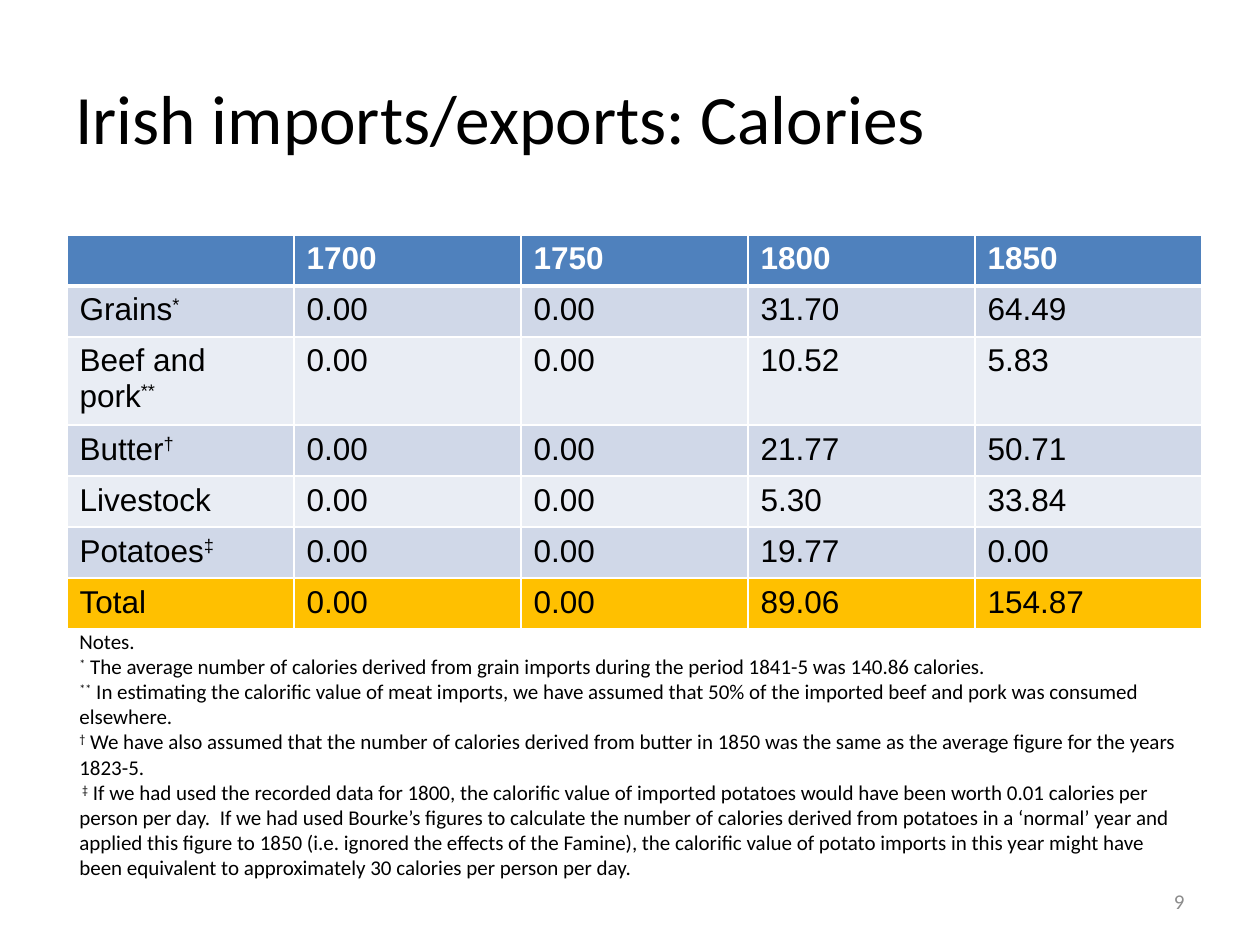
from lxml import etree
from pptx import Presentation
from pptx.dml.color import RGBColor
from pptx.enum.text import MSO_ANCHOR, PP_ALIGN
from pptx.oxml.ns import qn
from pptx.util import Pt

SCALE = 914400 / 126  # EMU per pixel
MIDDLE, TOP = MSO_ANCHOR.MIDDLE, MSO_ANCHOR.TOP
LEFT, RIGHT = PP_ALIGN.LEFT, PP_ALIGN.RIGHT
COLORS = {
    "text": "000000", "white": "FFFFFF", "number": "8C8C8C",
    "header": "4F81BD", "odd": "D0D8E8", "even": "E9EDF4", "total": "FFC000",
}

# Each label or note is a list of (text, is superscript) runs
HEADER = ["", "1700", "1750", "1800", "1850"]
ROWS = [
    ("Grains", "*", "0.00", "0.00", "31.70", "64.49"),
    ("Beef and pork", "**", "0.00", "0.00", "10.52", "5.83"),
    ("Butter", "†", "0.00", "0.00", "21.77", "50.71"),
    ("Livestock", "", "0.00", "0.00", "5.30", "33.84"),
    ("Potatoes", "‡", "0.00", "0.00", "19.77", "0.00"),
    ("Total", "", "0.00", "0.00", "89.06", "154.87"),
]
NOTES = [
    ("", "Notes."),
    ("*", " The average number of calories derived from grain imports during "
     "the period 1841-5 was 140.86 calories."),
    ("**", " In estimating the calorific value of meat imports, we have assumed "
     "that 50% of the imported beef and pork was consumed elsewhere."),
    ("†", " We have also assumed that the number of calories derived from butter "
     "in 1850 was the same as the average figure for the years 1823-5."),
    (" ‡", " If we had used the recorded data for 1800, the calorific value of "
     "imported potatoes would have been worth 0.01 calories per person per day.  "
     "If we had used Bourke’s figures to calculate the number of calories derived "
     "from potatoes in a ‘normal’ year and applied this figure to 1850 (i.e. "
     "ignored the effects of the Famine), the calorific value of potato imports "
     "in this year might have been equivalent to approximately 30 calories per "
     "person per day."),
]


def px(n):
    return round(n * SCALE)


def rgb(name):
    return RGBColor.from_string(COLORS[name])


def write(p, runs, font, size, color, bold=False):
    p.font.name, p.font.size, p.font.bold = font, Pt(size), bold
    p.font.color.rgb = rgb(color)
    for text, raised in runs:
        if text:
            r = p.add_run()
            r.text = text
            if raised:
                r.font._element.set("baseline", "30000")


def add_text(slide, box, paragraphs, size, color="text", anchor=TOP, align=LEFT):
    tf = slide.shapes.add_textbox(*map(px, box)).text_frame
    tf.word_wrap = True
    tf.vertical_anchor = anchor
    for i, runs in enumerate(paragraphs):
        p = tf.add_paragraph() if i else tf.paragraphs[0]
        p.alignment = align
        write(p, runs, "Calibri", size, color)


def set_borders(cell, top=1, bottom=1):
    tc_pr = cell._tc.get_or_add_tcPr()
    widths = {"a:lnL": 1, "a:lnR": 1, "a:lnT": top, "a:lnB": bottom}
    for i, (tag, width) in enumerate(widths.items()):
        ln = etree.Element(qn(tag), w=str(Pt(width)))
        fill = etree.SubElement(ln, qn("a:solidFill"))
        etree.SubElement(fill, qn("a:srgbClr"), val=COLORS["white"])
        tc_pr.insert(i, ln)


def add_calorie_table(slide, left, top, col_width, row_heights):
    labels = [[(year, False)] for year in HEADER]
    lines = [labels] + [
        [[(name, False), (mark, True)]] + [[(v, False)] for v in values]
        for name, mark, *values in ROWS
    ]
    frame = slide.shapes.add_table(
        len(lines), len(HEADER), px(left), px(top),
        px(col_width * len(HEADER)), px(sum(row_heights)))
    table = frame.table
    for col in table.columns:
        col.width = px(col_width)
    for i, line in enumerate(lines):
        table.rows[i].height = px(row_heights[i])
        band = "odd" if i % 2 else "even"
        if i == 0:
            band = "header"
        elif i == len(lines) - 1:
            band = "total"
        for j, runs in enumerate(line):
            cell = table.cell(i, j)
            cell.fill.solid()
            cell.fill.fore_color.rgb = rgb(band)
            set_borders(cell, top=3 if i == 1 else 1, bottom=3 if i == 0 else 1)
            write(cell.text_frame.paragraphs[0], runs, "Arial", 18,
                  "white" if i == 0 else "text", bold=i == 0)


def main():
    prs = Presentation()
    prs.slide_width, prs.slide_height = px(1260), px(945)
    slide = prs.slides.add_slide(prs.slide_layouts[6])

    # Title
    add_text(slide, (63, 38, 925, 157),
             [[("Irish imports/exports: Calories", False)]], 39.6, anchor=MIDDLE)

    # Table; the third row holds two lines
    add_calorie_table(slide, 67, 235, 227, [51, 51, 83, 51, 51, 51, 51])

    # Slide number
    add_text(slide, (903, 876, 294, 50), [[("9", False)]], 12,
             color="number", anchor=MIDDLE, align=RIGHT)

    # Notes
    add_text(slide, (67, 622, 1131, 267),
             [[(mark, True), (text, False)] for mark, text in NOTES], 12)

    prs.save("out.pptx")


main()
